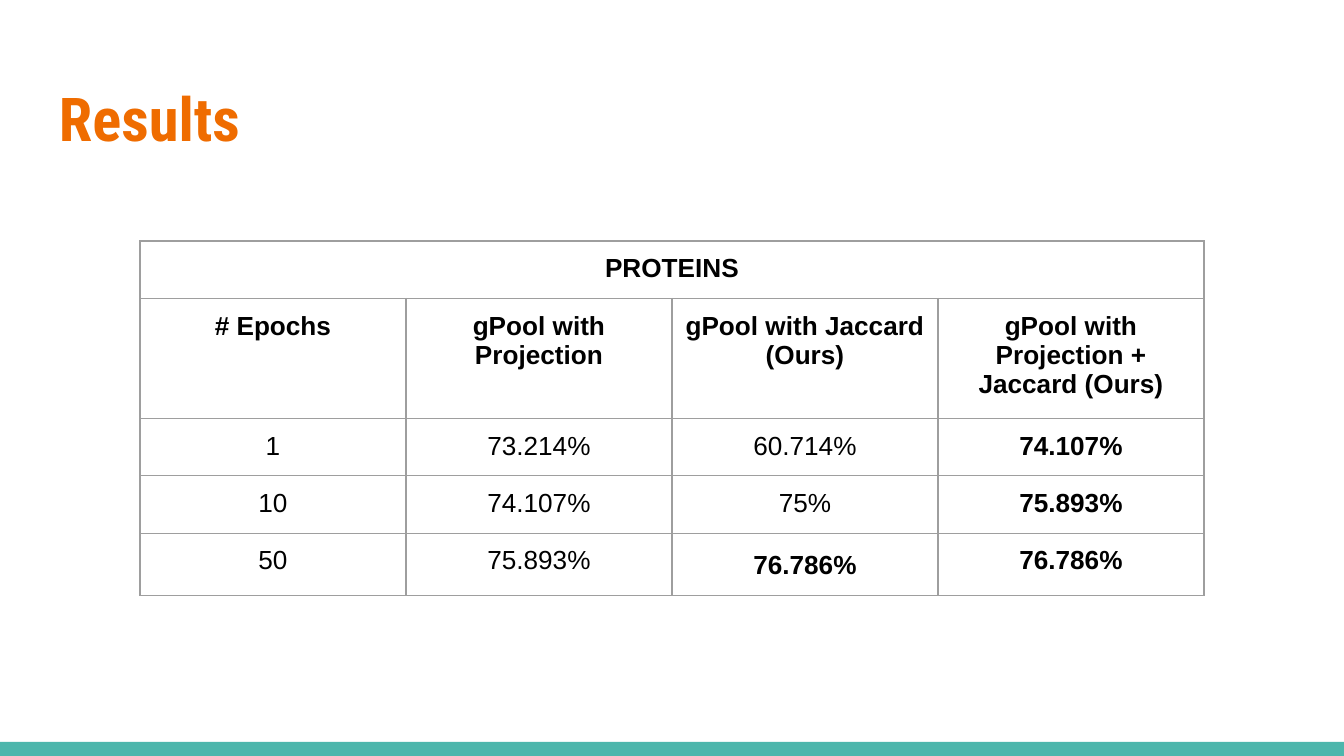
import pptx
import pptx.util
import pptx.dml.color
import pptx.enum.shapes
import pptx.enum.text
import pptx.oxml.ns
from lxml import etree

PX = 914400 / 134.4
ORANGE = pptx.dml.color.RGBColor(0xEF, 0x6C, 0x00)
TEAL = pptx.dml.color.RGBColor(0x4D, 0xB6, 0xAC)
BLACK = pptx.dml.color.RGBColor(0, 0, 0)
GREY = pptx.dml.color.RGBColor(0x9E, 0x9E, 0x9E)
MARGIN = 13


def px(*lengths):
    return [pptx.util.Emu(round(n * PX)) for n in lengths]


def write(p, text, color, **fmt):
    r = p.add_run()
    r.text = text
    r.font.color.rgb = color
    for name, value in fmt.items():
        setattr(r.font, name, value)


prs = pptx.Presentation()
prs.slide_width, prs.slide_height = px(1344, 756)
s = prs.slides.add_slide(prs.slide_layouts[6])

# Bottom bar
bar = s.shapes.add_shape(pptx.enum.shapes.MSO_SHAPE.RECTANGLE, *px(0, 742, 1344, 14))
bar.shadow.inherit = False
bar.fill.solid()
bar.fill.fore_color.rgb = TEAL
bar.line.fill.background()

# Title
tf = s.shapes.add_textbox(*px(46, 66, 1253, 103)).text_frame
tf.word_wrap = True
tf.vertical_anchor = pptx.enum.text.MSO_ANCHOR.MIDDLE
for side in ("left", "top", "right", "bottom"):
    setattr(tf, f"margin_{side}", px(MARGIN)[0])
write(tf.paragraphs[0], "Results", ORANGE,
      name="Roboto Condensed", size=pptx.util.Pt(32.4), bold=True)

# Results table
rows = [
    ["PROTEINS", "", "", ""],
    ["# Epochs", "gPool with Projection", "gPool with Jaccard (Ours)",
     "gPool with Projection + Jaccard (Ours)"],
    ["1", "73.214%", "60.714%", "74.107%"],
    ["10", "74.107%", "75%", "75.893%"],
    ["50", "75.893%", "76.786%", "76.786%"],
]
best_jaccard = (4, 2)
table = s.shapes.add_table(5, 4, *px(140, 241, 1064, 280)).table
table.first_row = table.horz_banding = False
for col in table.columns:
    col.width = px(266)[0]
for row in table.rows:
    row.height = px(56)[0]

for i, row in enumerate(rows):
    for j, text in enumerate(row):
        cell = table.cell(i, j)
        for side in ("left", "top", "right", "bottom"):
            setattr(cell, f"margin_{side}", px(MARGIN)[0])

        # Borders come before the fill in the cell properties
        tcPr = cell._tc.get_or_add_tcPr()
        for edge in "LRTB":
            ln = etree.SubElement(tcPr, pptx.oxml.ns.qn(f"a:ln{edge}"),
                                  w=str(pptx.util.Pt(0.75)))
            line_fill = etree.SubElement(ln, pptx.oxml.ns.qn("a:solidFill"))
            etree.SubElement(line_fill, pptx.oxml.ns.qn("a:srgbClr"), val=str(GREY))
        cell.fill.background()

        if text:
            p = cell.text_frame.paragraphs[0]
            p.alignment = pptx.enum.text.PP_ALIGN.CENTER
            if (i, j) == best_jaccard:
                p.line_spacing = 1.15
            bold = i < 2 or j == 3 or (i, j) == best_jaccard
            write(p, text, BLACK, name="Arial", size=pptx.util.Pt(14), bold=bold)
table.cell(0, 0).merge(table.cell(0, 3))

prs.save("out.pptx")
